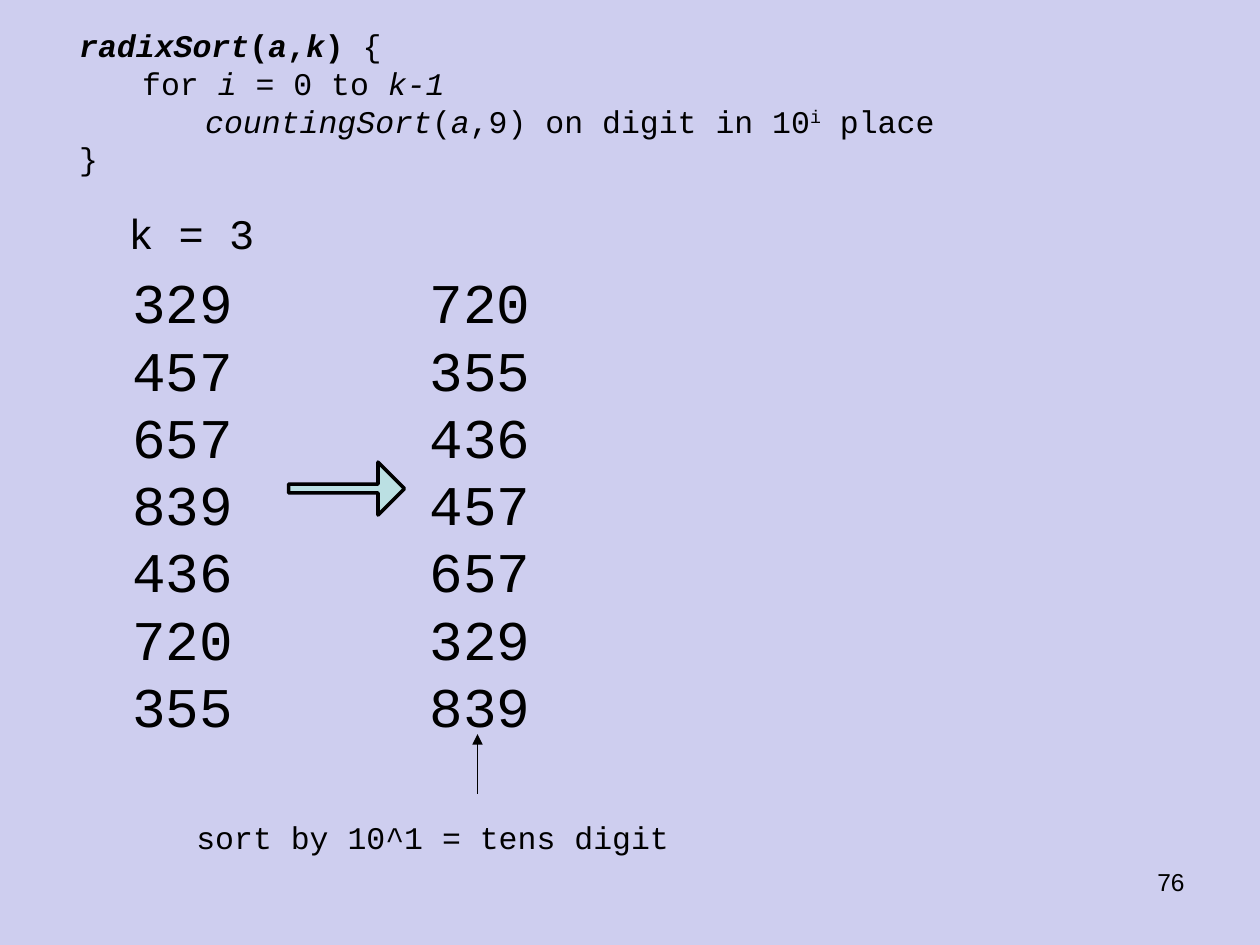
from lxml.etree import SubElement
from pptx import Presentation
from pptx.dml.color import RGBColor
from pptx.enum.shapes import MSO_CONNECTOR, MSO_SHAPE
from pptx.enum.text import PP_ALIGN
from pptx.oxml.ns import qn
from pptx.util import Inches, Pt

LAVENDER = RGBColor(0xCE, 0xCE, 0xEF)
PALE_TEAL = RGBColor(0xBB, 0xE0, 0xE3)
BLACK = RGBColor(0, 0, 0)
CODE_FONT = "Courier New"
WIDTH, HEIGHT = Inches(10), Inches(7.5)

# Number columns, as shares of the slide's size
COLUMN_LEFT, COLUMN_STEP, COLUMN_TOP = 0.095, 0.236, 0.277
COLUMN_WIDTH, COLUMN_HEIGHT = 0.101, 0.516
PASSES = [
    ["329", "457", "657", "839", "436", "720", "355"],
    ["720", "355", "436", "457", "657", "329", "839"],
]

# Each line is a list of (text, style): b bold, i italic, ^ superscript
RADIX_SORT = [
    [("radixSort", "bi"), ("(", "b"), ("a", "bi"), (",", "b"), ("k", "bi"),
     (")", "b"), (" {", "")],
    [("\tfor ", ""), ("i", "i"), (" = 0 to ", ""), ("k-1", "i")],
    [("\t\t", ""), ("countingSort", "i"), ("(", ""), ("a", "i"),
     (",9) on digit in 10", ""), ("i", "^"), (" place", "")],
    [("}", "")],
]


def across(share):
    return round(WIDTH * share)


def down(share):
    return round(HEIGHT * share)


def box(left, top, width, height):
    """Turn shares of the slide into lengths."""
    return across(left), down(top), across(width), down(height)


def style_run(run, size, font=CODE_FONT):
    run.font.size = Pt(size)
    run.font.name = font
    run.font.color.rgb = BLACK


def add_text(slide, place, text, size, font=CODE_FONT, align=PP_ALIGN.LEFT):
    frame = slide.shapes.add_textbox(*box(*place)).text_frame
    frame.word_wrap = True
    frame.text = text
    for paragraph in frame.paragraphs:
        paragraph.alignment = align
        for run in paragraph.runs:
            style_run(run, size, font)


def add_code(slide, place, lines, size):
    frame = slide.shapes.add_textbox(*box(*place)).text_frame
    frame.word_wrap = True
    for number, line in enumerate(lines):
        paragraph = frame.add_paragraph() if number else frame.paragraphs[0]
        for text, style in line:
            run = paragraph.add_run()
            run.text = text
            style_run(run, size)
            run.font.bold = "b" in style
            run.font.italic = "i" in style
            if "^" in style:
                run.font._element.set("baseline", "30000")


def add_pass_arrow(slide, place):
    arrow = slide.shapes.add_shape(MSO_SHAPE.RIGHT_ARROW, *box(*place))
    arrow.adjustments[0] = 0.167
    arrow.adjustments[1] = 0.5
    arrow.shadow.inherit = False
    arrow.fill.solid()
    arrow.fill.fore_color.rgb = PALE_TEAL
    arrow.line.color.rgb = BLACK
    arrow.line.width = Pt(2)


def add_digit_pointer(slide, x, start, end):
    pointer = slide.shapes.add_connector(
        MSO_CONNECTOR.STRAIGHT, across(x), down(start), across(x), down(end))
    pointer.line.color.rgb = BLACK
    pointer.line.width = Pt(0.75)
    SubElement(pointer.line._get_or_add_ln(), qn("a:tailEnd"), type="triangle")
    SubElement(pointer._element.spPr, qn("a:effectLst"))


def main():
    presentation = Presentation()
    presentation.slide_width, presentation.slide_height = WIDTH, HEIGHT
    slide = presentation.slides.add_slide(presentation.slide_layouts[6])
    slide.background.fill.solid()
    slide.background.fill.fore_color.rgb = LAVENDER

    add_code(slide, (0.053, 0.021, 0.908, 0.173), RADIX_SORT, 18)
    add_text(slide, (0.092, 0.213, 0.121, 0.067), "k = 3", 24)
    for column, numbers in enumerate(PASSES):
        left = COLUMN_LEFT + column * COLUMN_STEP
        add_text(slide, (left, COLUMN_TOP, COLUMN_WIDTH, COLUMN_HEIGHT),
                 "\n".join(numbers), 32)
    add_pass_arrow(slide, (0.229, 0.489, 0.092, 0.056))
    add_digit_pointer(slide, 0.379, 0.84, 0.777)
    add_text(slide, (0.146, 0.859, 0.649, 0.053),
             "sort by 10^1 = tens digit", 18)
    add_text(slide, (0.717, 0.911, 0.233, 0.069), "76", 14, "Arial",
             PP_ALIGN.RIGHT)
    presentation.save("out.pptx")


if __name__ == "__main__":
    main()
